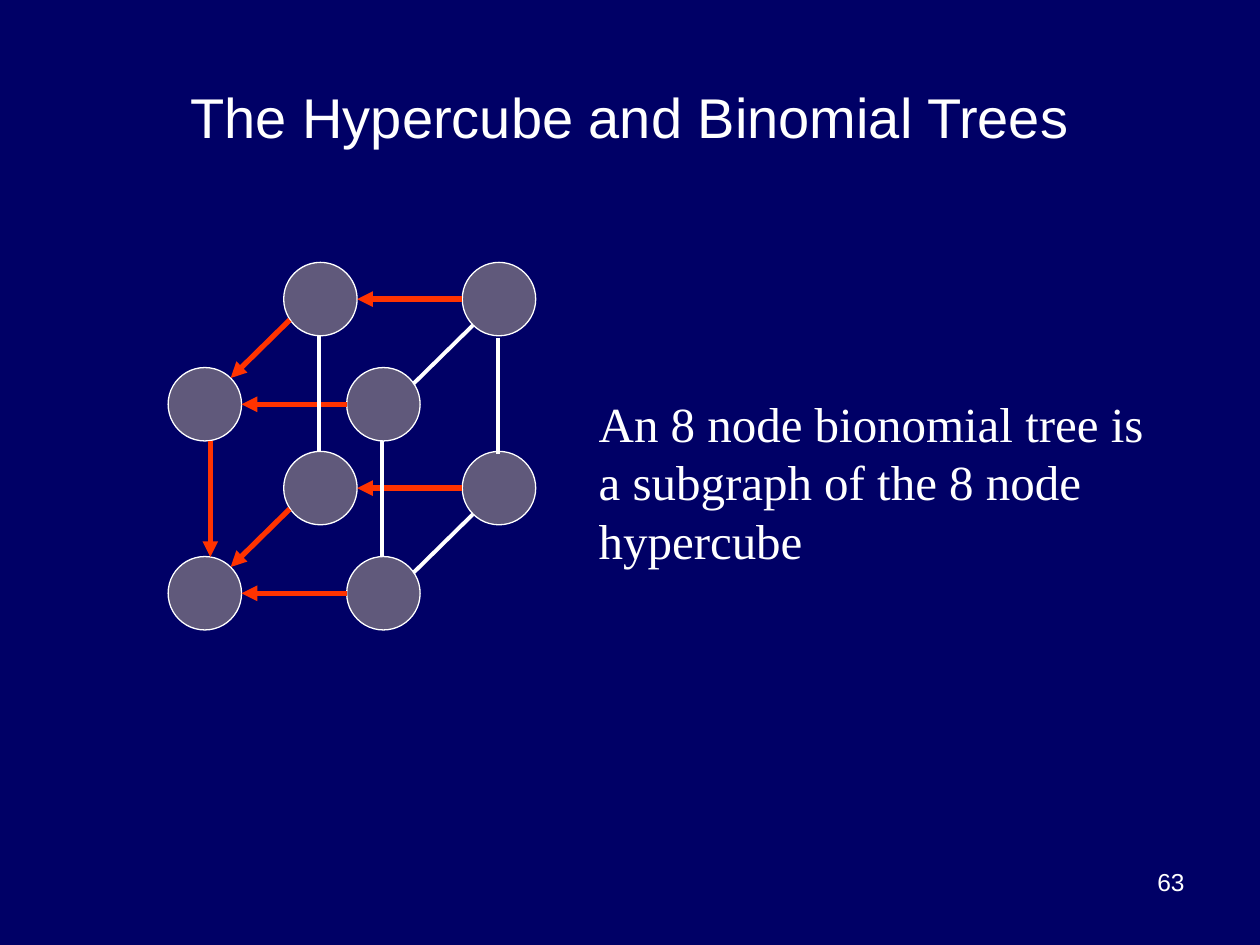
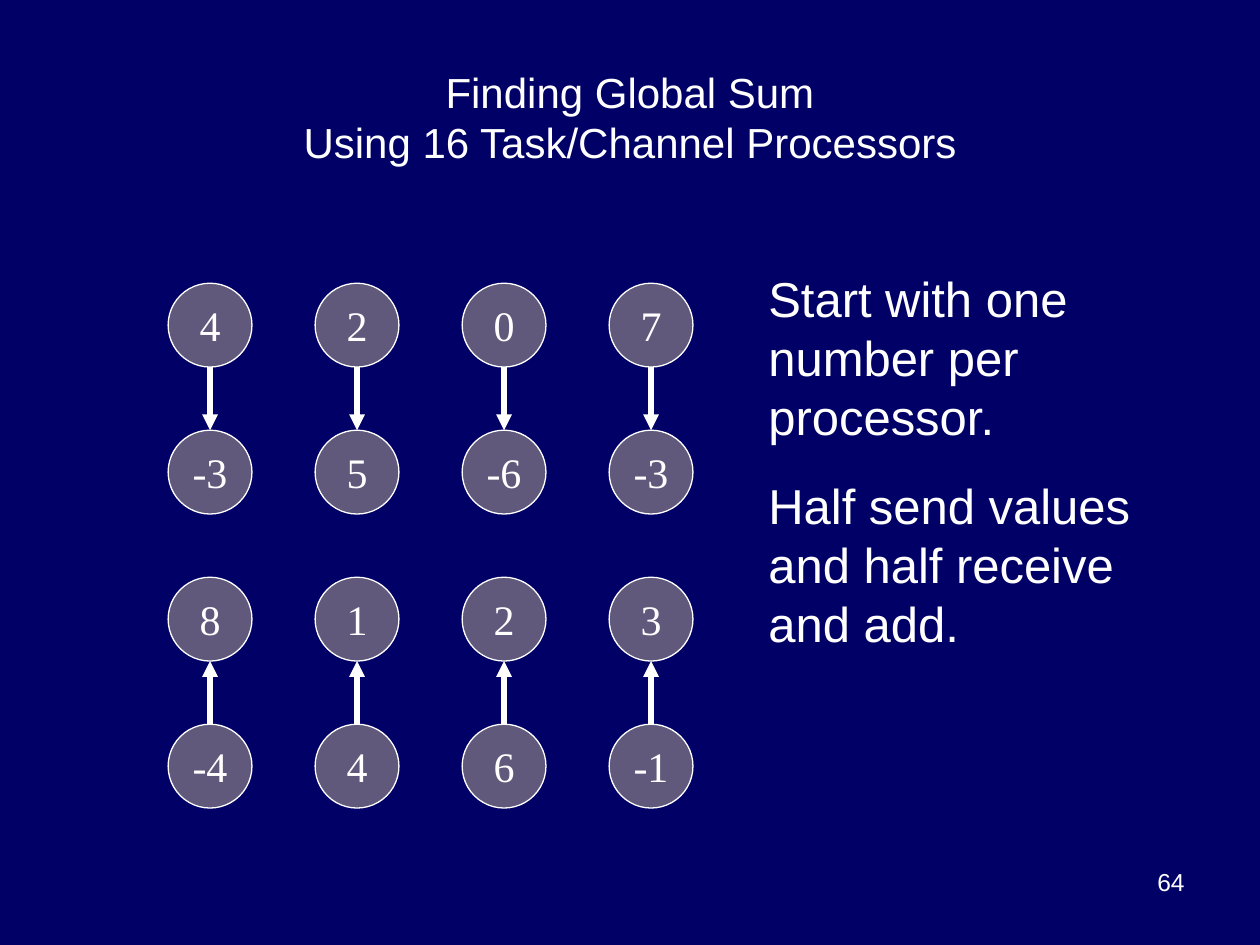
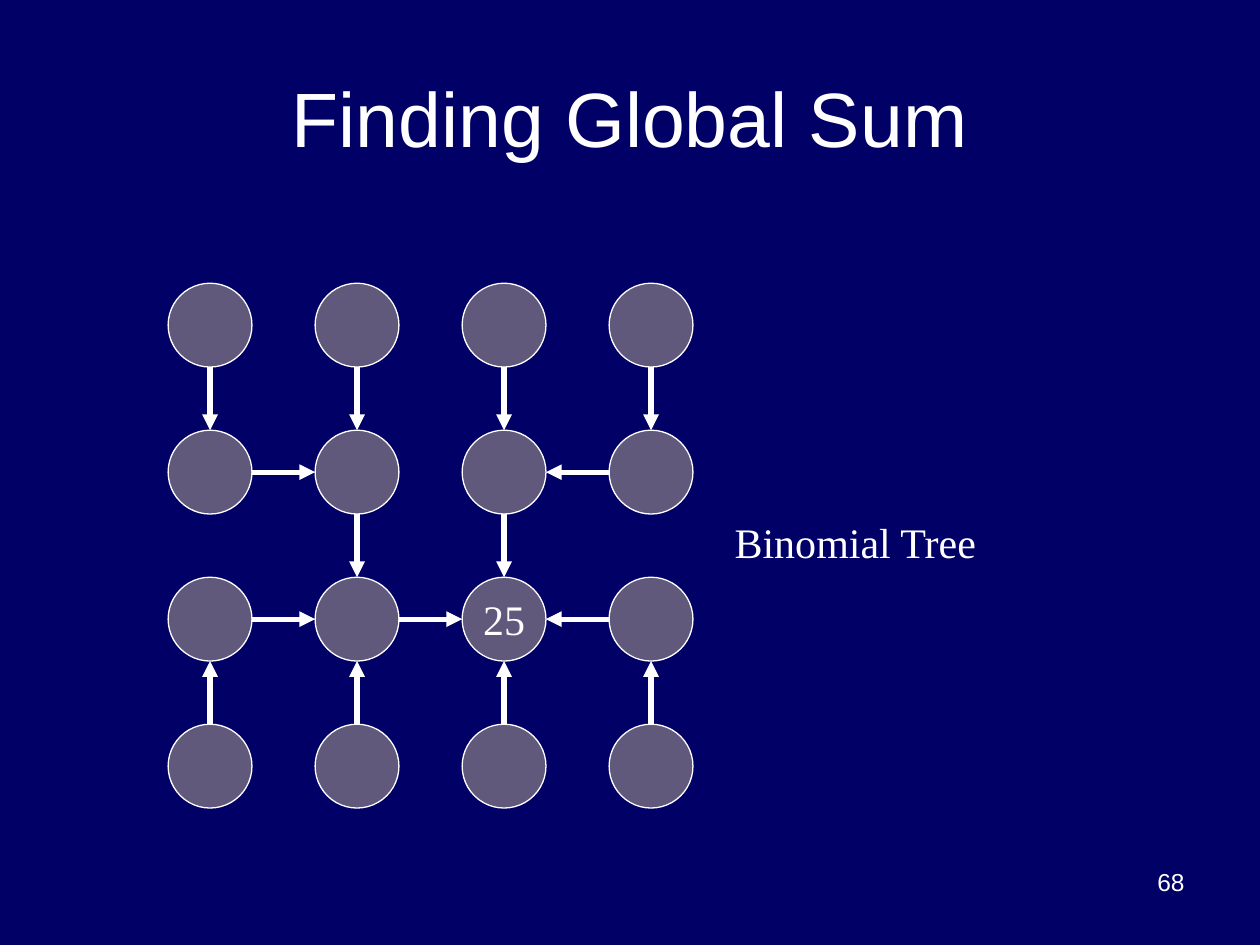
import math
from dataclasses import dataclass
from typing import NamedTuple

import lxml.etree
import pptx
import pptx.dml.color
import pptx.enum.shapes
import pptx.enum.text
import pptx.oxml.ns
import pptx.slide
import pptx.util

Cm = pptx.util.Cm
Pt = pptx.util.Pt
RGBColor = pptx.dml.color.RGBColor
Align = pptx.enum.text.PP_ALIGN
Anchor = pptx.enum.text.MSO_ANCHOR

# Shared look
NAVY = RGBColor(0x00, 0x00, 0x66)
WHITE = RGBColor(0xFF, 0xFF, 0xFF)
NODE_FILL = RGBColor(0x60, 0x59, 0x7B)
RED = RGBColor(0xFF, 0x33, 0x00)
SANS, SERIF = "Arial", "Times New Roman"

# Processor grid, in centimetres
GRID_SIZE = 4
GRID_LEFT, GRID_TOP = 3.39, 5.71
GRID_PITCH, GRID_NODE = 8.89 / (GRID_SIZE - 1), 1.69

# Hypercube, in centimetres
CUBE_LEFT, CUBE_TOP = 3.39, 7.41
CUBE_WIDTH, CUBE_HEIGHT = 3.6, 3.81
CUBE_DEPTH = (2.33, -2.12)
CUBE_NODE = 1.48
VERTICAL_LENGTH = 2.34


class Cell(NamedTuple):
    column: int
    row: int


class Link(NamedTuple):
    start: Cell
    end: Cell


@dataclass
class Edge:
    """A line from start to end, in centimetres."""
    start: tuple[float, float]
    end: tuple[float, float]
    color: RGBColor = WHITE
    width: float = 2.25
    arrow: bool = False


@dataclass
class TextBox:
    left: float
    top: float
    width: float
    height: float
    lines: list[str]
    size: float
    font: str = SANS
    align: Align = Align.LEFT
    anchor: Anchor = Anchor.TOP
    gap: float = 0


def fill_text(frame, lines: list[str], size: float, font: str,
              align: Align, gap: float = 0) -> None:
    for index, line in enumerate(lines):
        para = frame.paragraphs[0] if index == 0 else frame.add_paragraph()
        para.text = line
        para.alignment = align
        if index and gap:
            para.space_before = Pt(gap)
        for span in para.runs:
            for name, value in {"size": Pt(size), "name": font}.items():
                setattr(span.font, name, value)
            span.font.color.rgb = WHITE


def draw_text(page: pptx.slide.Slide, text: TextBox) -> None:
    box = page.shapes.add_textbox(Cm(text.left), Cm(text.top),
                                  Cm(text.width), Cm(text.height))
    frame = box.text_frame
    settings = {"word_wrap": True, "vertical_anchor": text.anchor}
    for name, value in settings.items():
        setattr(frame, name, value)
    fill_text(frame, text.lines, text.size, text.font, text.align, text.gap)


def draw_node(page: pptx.slide.Slide, left: float, top: float,
              diameter: float, label: str = "") -> None:
    node = page.shapes.add_shape(pptx.enum.shapes.MSO_SHAPE.OVAL, Cm(left),
                                 Cm(top), Cm(diameter), Cm(diameter))
    node.shadow.inherit = False
    node.fill.solid()
    node.fill.fore_color.rgb = NODE_FILL
    node.line.color.rgb = WHITE
    node.line.width = Pt(0.75)
    if label:
        node.text_frame.word_wrap = False
        node.text_frame.vertical_anchor = Anchor.MIDDLE
        fill_text(node.text_frame, [label], 24, SERIF, Align.CENTER)


def draw_edge(page: pptx.slide.Slide, edge: Edge,
              left: float = 0, top: float = 0) -> None:
    line = page.shapes.add_connector(
        pptx.enum.shapes.MSO_CONNECTOR.STRAIGHT,
        Cm(left + edge.start[0]), Cm(top + edge.start[1]),
        Cm(left + edge.end[0]), Cm(top + edge.end[1]))
    line.line.color.rgb = edge.color
    line.line.width = Pt(edge.width)
    if edge.arrow:
        outline = line.line._get_or_add_ln()
        lxml.etree.SubElement(outline, pptx.oxml.ns.qn("a:tailEnd"),
                              type="triangle")
    lxml.etree.SubElement(line._element.spPr, pptx.oxml.ns.qn("a:effectLst"))


def add_page(deck, title: str, title_size: float,
             number: int) -> pptx.slide.Slide:
    page = deck.slides.add_slide(deck.slide_layouts[6])
    page.background.fill.solid()
    page.background.fill.fore_color.rgb = NAVY
    draw_text(page, TextBox(1.27, 0.76, 22.86, 3.18, [title], title_size,
                            align=Align.CENTER, anchor=Anchor.MIDDLE))
    draw_text(page, TextBox(18.2, 17.36, 5.93, 1.32, [str(number)], 14,
                            align=Align.RIGHT))
    return page


def cell_center(cell: Cell) -> tuple[float, float]:
    return (GRID_LEFT + cell.column * GRID_PITCH + GRID_NODE / 2,
            GRID_TOP + cell.row * GRID_PITCH + GRID_NODE / 2)


def draw_grid(page: pptx.slide.Slide, labels: dict[Cell, str],
              links: list[Link]) -> None:
    for row in range(GRID_SIZE):
        for column in range(GRID_SIZE):
            draw_node(page, GRID_LEFT + column * GRID_PITCH,
                      GRID_TOP + row * GRID_PITCH, GRID_NODE,
                      labels.get(Cell(column, row), ""))
    # Each arrow runs from rim to rim
    for link in links:
        start, end = cell_center(link.start), cell_center(link.end)
        reach = GRID_NODE / 2 / math.dist(start, end)
        step_x = (end[0] - start[0]) * reach
        step_y = (end[1] - start[1]) * reach
        draw_edge(page, Edge((start[0] + step_x, start[1] + step_y),
                             (end[0] - step_x, end[1] - step_y),
                             width=3, arrow=True))


def outer_links() -> list[Link]:
    """Links from the outer rows to the inner rows."""
    return [Link(Cell(column, outer), Cell(column, inner))
            for outer, inner in ((0, 1), (3, 2))
            for column in range(GRID_SIZE)]


def draw_hypercube(page: pptx.slide.Slide) -> None:
    depth_x, depth_y = CUBE_DEPTH
    radius = CUBE_NODE / 2
    red_arrow = {"color": RED, "width": 3, "arrow": True}
    # Edges are measured from the front left node of a face
    level_edges = [
        Edge((CUBE_WIDTH, radius), (CUBE_NODE, radius), **red_arrow),
        Edge((CUBE_WIDTH + depth_x, radius + depth_y),
             (CUBE_NODE + depth_x, radius + depth_y), **red_arrow),
        Edge((2.45, -0.96), (1.26, 0.21), **red_arrow),
        Edge((6.14, -0.85), (4.95, 0.32)),
    ]
    # Lower and upper faces
    for top in (CUBE_TOP + CUBE_HEIGHT, CUBE_TOP):
        for shift_x, shift_y in ((0, 0), CUBE_DEPTH):
            for side in (0, CUBE_WIDTH):
                draw_node(page, CUBE_LEFT + side + shift_x, top + shift_y,
                          CUBE_NODE)
        for edge in level_edges:
            draw_edge(page, edge, CUBE_LEFT, top)
    # Edges between the faces
    for x, y, style in ((0.85, CUBE_NODE, red_arrow), (3.04, -0.63, {}),
                        (4.31, CUBE_NODE, {}), (6.65, -0.6, {})):
        draw_edge(page, Edge((x, y), (x, y + VERTICAL_LENGTH), **style),
                  CUBE_LEFT, CUBE_TOP)


def build_hypercube_page(deck) -> None:
    page = add_page(deck, "The Hypercube and Binomial Trees", 32, 63)
    draw_hypercube(page)
    draw_text(page, TextBox(
        11.82, 7.8, 11.8, 3.81,
        ["An 8 node bionomial tree is", "a subgraph of the 8 node",
         "hypercube"], 28, SERIF))


def build_start_page(deck) -> None:
    page = add_page(
        deck, "Finding Global Sum\vUsing 16 Task/Channel Processors", 24, 64)
    values = [[4, 2, 0, 7], [-3, 5, -6, -3], [8, 1, 2, 3], [-4, 4, 6, -1]]
    labels = {Cell(column, row): str(value)
              for row, numbers in enumerate(values)
              for column, value in enumerate(numbers)}
    draw_grid(page, labels, outer_links())
    draw_text(page, TextBox(
        15.24, 5.29, 9.32, 8,
        ["Start with one number per processor.",
         "Half send values and half receive and add."], 28, gap=17.5))


def build_tree_page(deck) -> None:
    page = add_page(deck, "Finding Global Sum", 44, 68)
    total = Cell(2, 2)
    inner_links = [Link(Cell(1, 2), total)]
    inner_links += [Link(Cell(column, 1), Cell(column, 2))
                    for column in (1, 2)]
    inner_links += [Link(Cell(outer, row), Cell(inner, row))
                    for row in (1, 2) for outer, inner in ((0, 1), (3, 2))]
    draw_grid(page, {total: "25"}, inner_links + outer_links())
    draw_text(page, TextBox(14.56, 10.29, 5.8, 1.27, ["Binomial Tree"],
                            24, SERIF))


def main() -> None:
    deck = pptx.Presentation()
    deck.slide_width, deck.slide_height = Cm(25.4), Cm(19.05)
    build_hypercube_page(deck)
    build_start_page(deck)
    build_tree_page(deck)
    deck.save("out.pptx")


if __name__ == "__main__":
    main()
